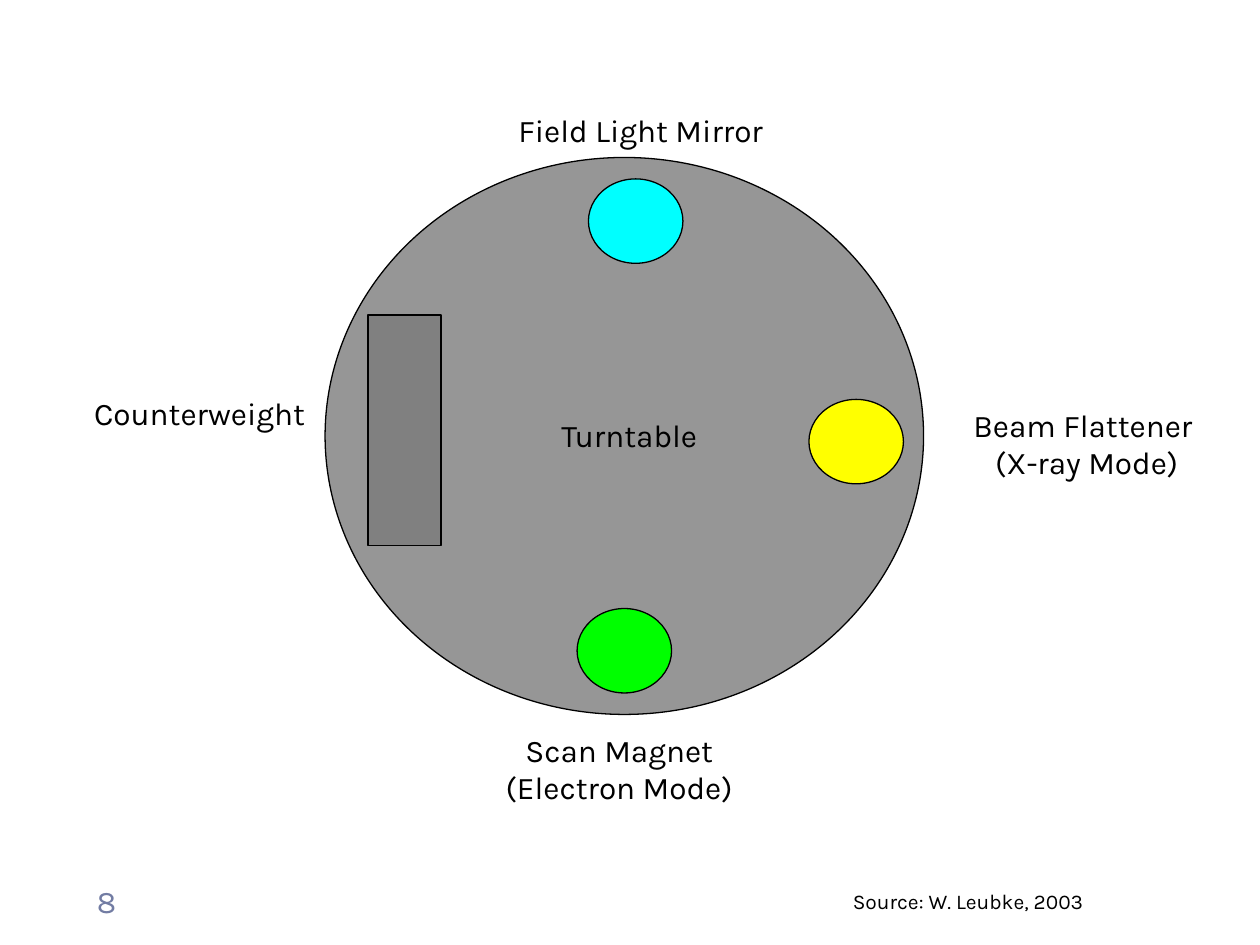
from dataclasses import dataclass

from pptx import Presentation
from pptx.dml.color import RGBColor
from pptx.enum.shapes import MSO_SHAPE
from pptx.enum.text import MSO_ANCHOR, PP_ALIGN
from pptx.util import Inches, Pt

OVAL, RECTANGLE = MSO_SHAPE.OVAL, MSO_SHAPE.RECTANGLE
TOP, MIDDLE = MSO_ANCHOR.TOP, MSO_ANCHOR.MIDDLE
LEFT, CENTER = PP_ALIGN.LEFT, PP_ALIGN.CENTER
BLANK_LAYOUT = 6


@dataclass(frozen=True)
class Theme:
    font: str = "Karla"
    ink: str = "000000"
    page_number: str = "727CA3"
    turntable: str = "969696"
    counterweight: str = "808080"
    magnet: str = "00FF00"
    flattener: str = "FFFF00"
    mirror: str = "00FFFF"
    label_size: int = 18
    source_size: int = 12
    outline: float = 0.75


THEME = Theme()


@dataclass(frozen=True)
class Part:
    left: float
    top: float
    fill: str
    width: float = 0.75
    height: float = 0.67
    outline_shape: MSO_SHAPE = OVAL


@dataclass(frozen=True)
class Label:
    text: str
    left: float
    top: float
    width: float = 2.33
    height: float = 0.4
    size: int = THEME.label_size
    color: str = THEME.ink
    align: PP_ALIGN = CENTER
    anchor: MSO_ANCHOR = TOP


PARTS = [
    Part(2.58, 1.25, THEME.turntable, 4.75, 4.42),
    Part(4.58, 4.83, THEME.magnet),
    Part(6.42, 3.17, THEME.flattener),
    Part(4.67, 1.42, THEME.mirror),
    Part(2.92, 2.5, THEME.counterweight, 0.58, 1.83, RECTANGLE),
]

LABELS = [
    Label("Counterweight", 0.42, 3.08),
    Label("Field Light Mirror", 3.92, 0.83),
    Label("Beam Flattener \v(X-ray Mode)", 7.5, 3.17, 2.25, 0.71),
    Label("Scan Magnet (Electron Mode)", 3.75, 5.75, height=0.7),
    Label("Turntable", 3.83, 3.25),
    Label("Source: W. Leubke, 2003", 6.67, 7, 3.33, 0.3, THEME.source_size, align=LEFT),
    Label("8", 0.67, 6.95, color=THEME.page_number, align=LEFT, anchor=MIDDLE),
]


def bounds(item: Part | Label) -> list[int]:
    return [Inches(length) for length in (item.left, item.top, item.width, item.height)]


def apply_format(target: object, values: dict) -> None:
    for attribute, value in values.items():
        setattr(target, attribute, value)


def draw_part(slide, part: Part) -> None:
    shape = slide.shapes.add_shape(part.outline_shape, *bounds(part))
    shape.shadow.inherit = False
    shape.fill.solid()
    shape.fill.fore_color.rgb = RGBColor.from_string(part.fill)
    shape.line.color.rgb = RGBColor.from_string(THEME.ink)
    shape.line.width = Pt(THEME.outline)


def draw_label(slide, label: Label) -> None:
    frame = slide.shapes.add_textbox(*bounds(label)).text_frame
    apply_format(frame, {"word_wrap": True, "vertical_anchor": label.anchor})
    paragraph = frame.paragraphs[0]
    apply_format(paragraph, {"text": label.text, "alignment": label.align})
    for run in paragraph.runs:
        apply_format(run.font, {"name": THEME.font, "size": Pt(label.size)})
        run.font.color.rgb = RGBColor.from_string(label.color)


def main() -> None:
    presentation = Presentation()
    apply_format(presentation, {"slide_width": Inches(10), "slide_height": Inches(7.5)})
    slide = presentation.slides.add_slide(presentation.slide_layouts[BLANK_LAYOUT])
    for part in PARTS:
        draw_part(slide, part)
    for label in LABELS:
        draw_label(slide, label)
    presentation.save("out.pptx")


if __name__ == "__main__":
    main()
